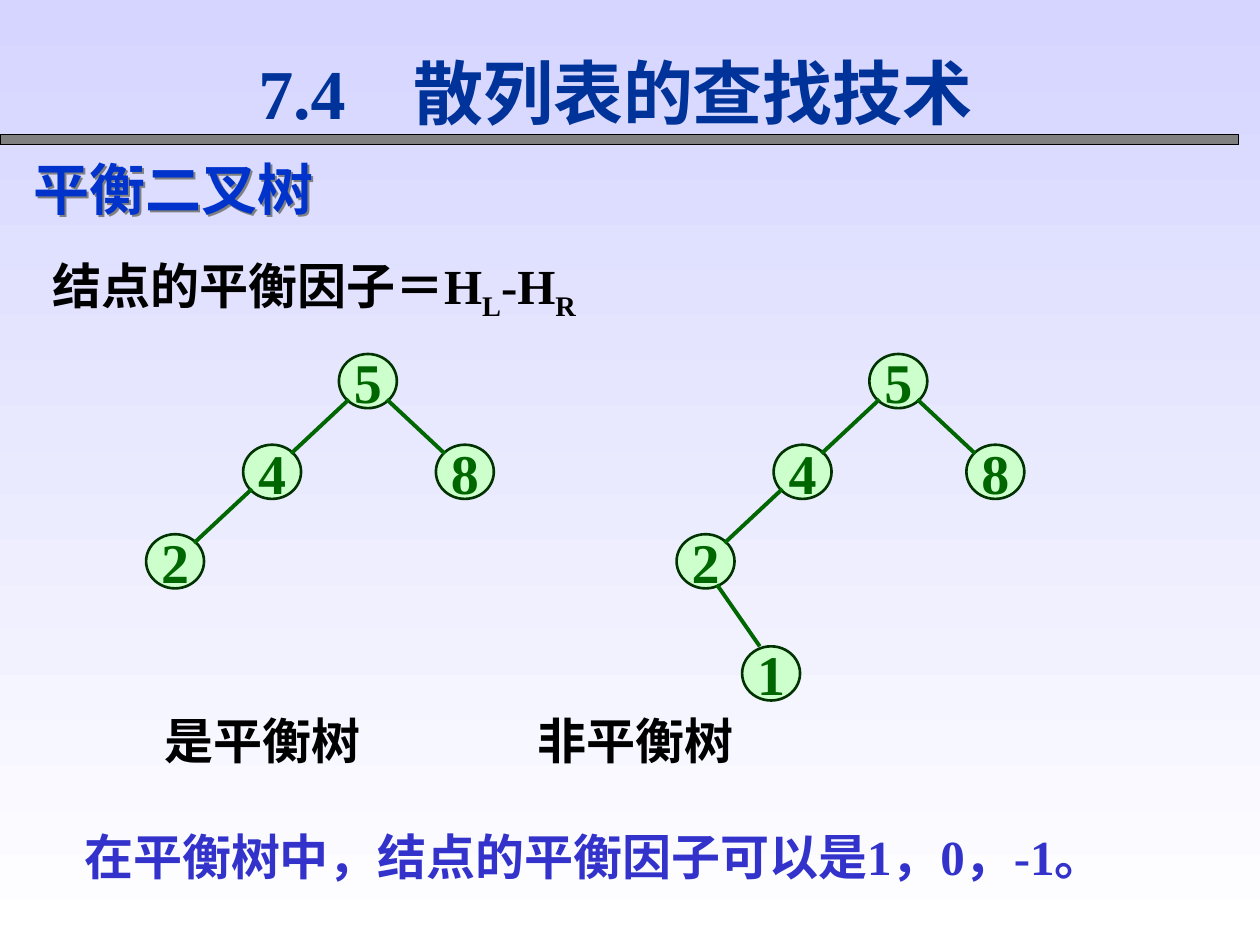
"""Build the slide that compares a balanced and an unbalanced binary tree."""
from lxml import etree
from pptx import Presentation
from pptx.dml.color import RGBColor
from pptx.enum import shapes, text
from pptx.oxml.ns import qn
from pptx.util import Inches, Pt

SKY = RGBColor(0xD5, 0xD5, 0xFF)
WHITE = RGBColor(0xFF, 0xFF, 0xFF)
GRAY = RGBColor(0x80, 0x80, 0x80)
BLACK = RGBColor(0, 0, 0)
NAVY = RGBColor(0x00, 0x33, 0x99)
BLUE = RGBColor(0x00, 0x33, 0xCC)
VIOLET = RGBColor(0x33, 0x33, 0xCC)
GREEN = RGBColor(0x00, 0x66, 0x00)
DARK_GREEN = RGBColor(0x00, 0x33, 0x00)
PALE_GREEN = RGBColor(0xCC, 0xFF, 0xCC)
SERIF, SANS, CJK = "Times New Roman", "Arial", "Noto Sans CJK SC"


def add_run(paragraph, wording, size, color, font, baseline=0):
    run = paragraph.add_run()
    run.text = wording
    run.font.size = Pt(size)
    run.font.bold = True
    run.font.color.rgb = color
    run.font.name = font
    properties = run.font._element
    etree.SubElement(properties, qn("a:ea"), typeface=CJK)
    if baseline:
        properties.set("baseline", str(baseline * 1000))


def add_text_box(left, top, width, height, space_before=0):
    box = slide.shapes.add_textbox(Inches(left), Inches(top), Inches(width), Inches(height))
    box.text_frame.word_wrap = True
    box.text_frame.auto_size = text.MSO_AUTO_SIZE.SHAPE_TO_FIT_TEXT
    paragraph = box.text_frame.paragraphs[0]
    paragraph.space_before = Pt(space_before)
    return box, paragraph


deck = Presentation()
deck.slide_width, deck.slide_height = Inches(10), Inches(7.5)
slide = deck.slides.add_slide(deck.slide_layouts[5])

backdrop = slide.background.fill
backdrop.gradient()
backdrop.gradient_angle = 270
for stop, color, position in zip(backdrop.gradient_stops, (SKY, WHITE), (0, 1)):
    stop.color.rgb = color
    stop.position = position

title = slide.shapes.title
title.left, title.top = Inches(1.95), Inches(0.35)
title.width, title.height = Inches(6.01), Inches(0.75)
title.text_frame.vertical_anchor = text.MSO_ANCHOR.MIDDLE
title.text_frame.auto_size = text.MSO_AUTO_SIZE.NONE
heading = title.text_frame.paragraphs[0]
heading.alignment = text.PP_ALIGN.LEFT
add_run(heading, "7.4\t散列表的查找技术", 40, NAVY, SERIF)

rule = slide.shapes.add_shape(shapes.MSO_SHAPE.RECTANGLE, 0, Inches(1.07), Inches(9.83), Inches(0.08))
rule.shadow.inherit = False
rule.fill.solid()
rule.fill.fore_color.rgb = GRAY
rule.line.color.rgb = BLACK
rule.line.width = Pt(0.75)

node_offsets = {"5": (0, 0), "4": (-0.76, 0.72), "8": (0.77, 0.72), "2": (-1.53, 1.43), "1": (-1.01, 2.32)}
edges = [
    ("5", "4", (0.08, 0.36), (0.38, 0.07)),
    ("4", "2", (0.07, 0.35), (0.38, 0.07)),
    ("5", "8", (0.38, 0.36), (0.07, 0.07)),
    ("2", "1", (0.32, 0.40), (0.14, 0)),
]
root_top = 2.81
for root_left, keys in ((2.69, "5482"), (6.9, "54821")):
    corners = {key: (root_left + node_offsets[key][0], root_top + node_offsets[key][1]) for key in keys}
    for key, (left, top) in corners.items():
        node = slide.shapes.add_shape(
            shapes.MSO_SHAPE.OVAL, Inches(left), Inches(top), Inches(0.46), Inches(0.43))
        node.shadow.inherit = False
        node.fill.solid()
        node.fill.fore_color.rgb = PALE_GREEN
        node.line.color.rgb = DARK_GREEN
        node.line.width = Pt(1.5)
        node.text_frame.word_wrap = False
        node.text_frame.vertical_anchor = text.MSO_ANCHOR.MIDDLE
        label = node.text_frame.paragraphs[0]
        label.alignment = text.PP_ALIGN.CENTER
        add_run(label, key, 32, GREEN, SERIF)
    for parent, child, start, end in edges:
        if child not in corners:
            continue
        edge = slide.shapes.add_connector(
            shapes.MSO_CONNECTOR.STRAIGHT,
            Inches(corners[parent][0] + start[0]), Inches(corners[parent][1] + start[1]),
            Inches(corners[child][0] + end[0]), Inches(corners[child][1] + end[1]))
        edge.line.color.rgb = GREEN
        edge.line.width = Pt(2.25)
        etree.SubElement(edge._element.spPr, qn("a:effectLst"))

captions_box, captions = add_text_box(1.21, 5.59, 7.43, 0.57)
add_run(captions, "是平衡树\t非平衡树", 28, BLACK, CJK)

for paragraph, tab_stop in ((heading, 1.23), (captions, 2.96)):
    tab_list = etree.SubElement(paragraph._p.get_or_add_pPr(), qn("a:tabLst"))
    etree.SubElement(tab_list, qn("a:tab"), pos=str(Inches(tab_stop)), algn="l")

topic_box, topic = add_text_box(0.17, 1.18, 7, 0.64, 20)
add_run(topic, "平衡二叉树", 32, BLUE, CJK)
effects = etree.SubElement(topic_box._element.spPr, qn("a:effectLst"))
shadow = etree.SubElement(effects, qn("a:outerShdw"), dist=str(Pt(1.5)), dir="2700000")
etree.SubElement(shadow, qn("a:srgbClr"), val=str(GRAY))

conclusion_box, conclusion = add_text_box(0.57, 6.51, 8.91, 0.57, 17.5)
for wording, font in (("在平衡树中，结点的平衡因子可以是", SANS), ("1，0，-1", SERIF), ("。", SANS)):
    add_run(conclusion, wording, 28, VIOLET, font)

formula_box, formula = add_text_box(0.32, 1.98, 4.62, 0.63, 17.5)
add_run(formula, "结点的平衡因子＝", 28, BLACK, SANS)
for wording, baseline in (("H", 0), ("L", -25), ("-H", 0), ("R", -25)):
    add_run(formula, wording, 28, BLACK, SERIF, baseline)

deck.save("out.pptx")
